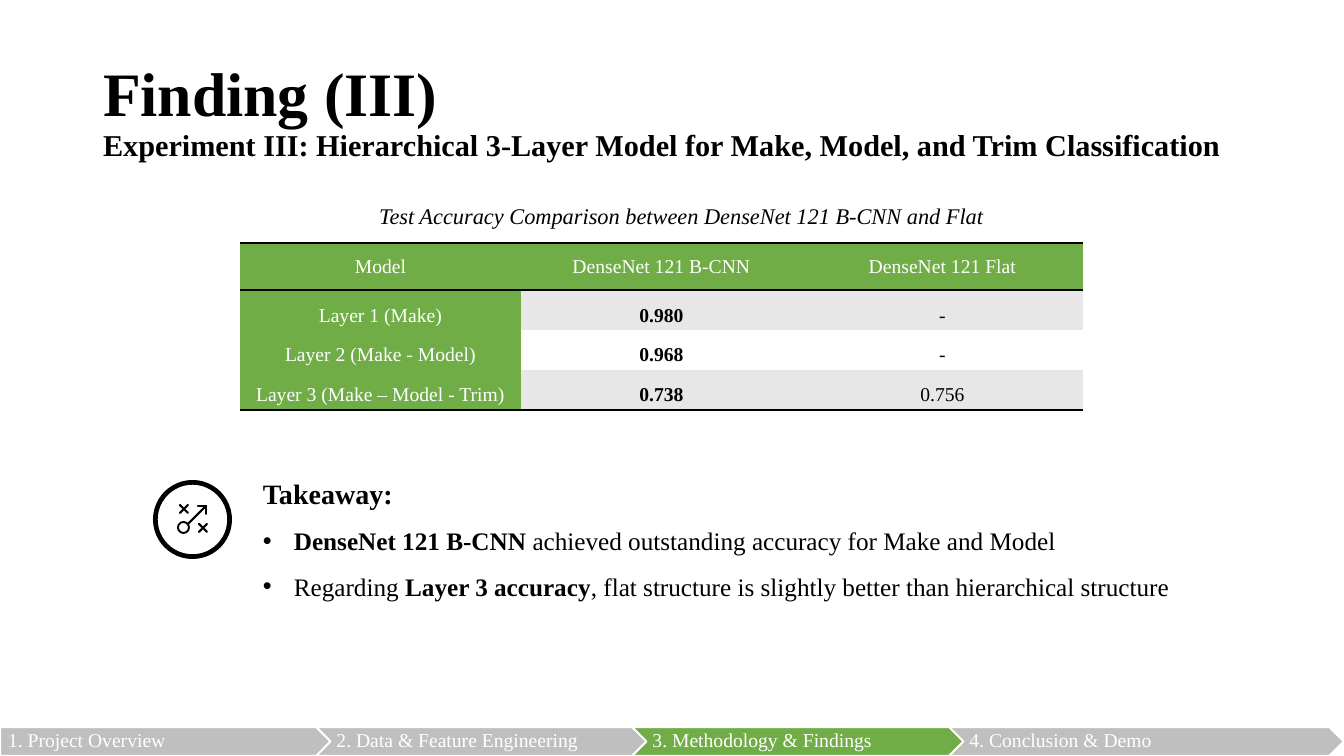
from lxml import etree
from pptx import Presentation
from pptx.dml.color import RGBColor
from pptx.enum.shapes import MSO_CONNECTOR, MSO_SHAPE
from pptx.enum.text import MSO_ANCHOR, MSO_AUTO_SIZE, PP_ALIGN
from pptx.oxml.ns import qn
from pptx.util import Emu, Pt

LEFT, CENTER = PP_ALIGN.LEFT, PP_ALIGN.CENTER
MIDDLE = MSO_ANCHOR.MIDDLE
NO_FIT = MSO_AUTO_SIZE.NONE
PLATE, CHEVRON, DONUT = MSO_SHAPE.PENTAGON, MSO_SHAPE.CHEVRON, MSO_SHAPE.DONUT
STRAIGHT = MSO_CONNECTOR.STRAIGHT

WIDTH, HEIGHT = 1344, 756
BLACK, WHITE, GREEN = "000000", "FFFFFF", "70AD47"
GRAY, BAND = "BFBFBF", "E7E7E7"


def px(count):
    return Emu(round(count * 914400 / 100.8))


def color(code):
    return RGBColor.from_string(code)


class Deck:
    font = "Times New Roman"

    def __init__(self):
        self.file = Presentation()
        self.file.slide_width, self.file.slide_height = px(WIDTH), px(HEIGHT)
        self.slide = self.file.slides.add_slide(self.file.slide_layouts[5])
        self.shapes = self.slide.shapes

    def style(self, run, size, tint=BLACK, bold=False, italic=False):
        font = run.font
        font.name, font.size = self.font, Pt(size)
        font.bold, font.italic = bold, italic
        font.color.rgb = color(tint)

    def inset(self, item, left, top, right, bottom):
        item.margin_left, item.margin_right = px(left), px(right)
        item.margin_top, item.margin_bottom = px(top), px(bottom)

    def title(self, box, lines, sizes):
        shape = self.shapes.title
        shape.left, shape.top, shape.width, shape.height = map(px, box)
        frame = shape.text_frame
        frame.text = "\v".join(lines)
        frame.auto_size, frame.vertical_anchor = NO_FIT, MIDDLE
        para = frame.paragraphs[0]
        para.alignment, para.line_spacing = LEFT, 0.9
        for run, size in zip(para.runs, sizes):
            self.style(run, size, bold=True)

    def box(self, box):
        frame = self.shapes.add_textbox(*map(px, box)).text_frame
        frame.word_wrap = True
        return frame

    def label(self, box, text, size):
        frame = self.box(box)
        frame.text = text
        para = frame.paragraphs[0]
        para.alignment = CENTER
        self.style(para.runs[0], size, italic=True)

    def notes(self, box, head, points):
        frame = self.box(box)
        frame.text = head
        self.style(frame.paragraphs[0].runs[0], 20, bold=True)
        for point in points:
            para = frame.add_paragraph()
            para.line_spacing = 1.5
            props = para._p.get_or_add_pPr()
            props.set("marL", str(px(31)))
            props.set("indent", str(px(-31)))
            etree.SubElement(props, qn("a:buFont")).set("typeface", "Arial")
            etree.SubElement(props, qn("a:buChar")).set("char", "•")
            for text, bold in point:
                run = para.add_run()
                run.text = text
                self.style(run, 18, bold=bold)

    def shape(self, kind, box, fill, adjust, line=None):
        shape = self.shapes.add_shape(kind, *map(px, box))
        shape.shadow.inherit = False
        shape.adjustments[0] = adjust
        shape.fill.solid()
        shape.fill.fore_color.rgb = color(fill)
        if line:
            shape.line.color.rgb, shape.line.width = color(line), Pt(1.5)
        else:
            shape.line.fill.background()
        return shape

    def step(self, kind, box, fill, text):
        shape = self.shape(kind, box, fill, 0.5, WHITE)
        frame = shape.text_frame
        frame.text = text
        frame.word_wrap, frame.vertical_anchor = True, MIDDLE
        self.inset(frame, 8 if kind == PLATE else 6, 4, 2, 4)
        para = frame.paragraphs[0]
        para.alignment, para.line_spacing = LEFT, 0.9
        self.style(para.runs[0], 14, WHITE)

    def stroke(self, *ends):
        line = self.shapes.add_connector(STRAIGHT, *map(px, ends))
        line.line.color.rgb, line.line.width = color(BLACK), Pt(1.5)
        line.line._get_or_add_ln().set("cap", "rnd")
        etree.SubElement(line._element.spPr, qn("a:effectLst"))

    def border(self, cell, sides):
        props = cell._tc.get_or_add_tcPr()
        for side in "LRTB":
            line = etree.SubElement(props, qn("a:ln" + side))
            if side in sides:
                line.set("w", str(Pt(2)))
                fill = etree.SubElement(line, qn("a:solidFill"))
                etree.SubElement(fill, qn("a:srgbClr")).set("val", BLACK)
            else:
                etree.SubElement(line, qn("a:noFill"))

    def table(self, left, top, rows, widths, heights):
        box = map(px, (left, top, sum(widths), sum(heights)))
        table = self.shapes.add_table(len(rows), len(widths), *box).table
        table.first_row = table.horz_banding = False
        for col, width in zip(table.columns, widths):
            col.width = px(width)
        for row, height in zip(table.rows, heights):
            row.height = px(height)
        last = len(rows) - 1
        for r, row in enumerate(rows):
            for c, text in enumerate(row):
                head = r == 0 or c == 0
                cell = table.cell(r, c)
                cell.text = text
                cell.vertical_anchor = MIDDLE
                self.inset(cell, 7, 0, 7, 0)
                sides = ("T" if r < 2 else "") + ("B" if r in (0, last) else "")
                self.border(cell, sides)
                cell.fill.solid()
                back = GREEN if head else BAND if r % 2 else WHITE
                cell.fill.fore_color.rgb = color(back)
                para = cell.text_frame.paragraphs[0]
                para.alignment = CENTER
                para.line_spacing = 1.5 if r else 1.0
                self.style(para.runs[0], 14, WHITE if head else BLACK,
                           bold=r > 0 and c == 1)


def main():
    deck = Deck()

    # Title
    deck.title((93, 40, 1159, 146),
               ("Finding (III) ",
                "Experiment III: Hierarchical 3-Layer Model for Make, Model, "
                "and Trim Classification"),
               (44.1, 21.6))

    # Progress bar
    steps = ("1. Project Overview", "2. Data & Feature Engineering",
             "3. Methodology & Findings", "4. Conclusion & Demo")
    wide = 395
    for n, text in enumerate(steps):
        left = n * (WIDTH - wide) // (len(steps) - 1)
        deck.step(CHEVRON if n else PLATE, (left, 727, wide, 29),
                  GREEN if n == 2 else GRAY, text)

    # Accuracy table
    deck.label((325, 197, 713, 37),
               "Test Accuracy Comparison between DenseNet 121 B-CNN and Flat", 16)
    deck.table(240, 243, (
        ("Model", "DenseNet 121 B-CNN", "DenseNet 121 Flat"),
        ("Layer 1 (Make)", "0.980", "-"),
        ("Layer 2 (Make - Model)", "0.968", "-"),
        ("Layer 3 (Make – Model - Trim)", "0.738", "0.756"),
    ), [281] * 3, [47] + [40] * 3)

    # Takeaway
    deck.notes((253, 472, 963, 132), "Takeaway:", (
        (("DenseNet 121 B-CNN ", True),
         ("achieved outstanding accuracy for Make and Model", False)),
        (("Regarding ", False), ("Layer 3 accuracy", True),
         (", flat structure is slightly better than hierarchical structure",
          False)),
    ))

    # Tactics icon: rings, crosses, arrow
    deck.shape(DONUT, (153, 480, 79, 79), BLACK, 0.06)
    deck.shape(DONUT, (177, 521, 13, 13), BLACK, 0.15)
    for x, y in ((180, 505), (199, 524)):
        deck.stroke(x, y, x + 8, y + 8)
        deck.stroke(x, y + 8, x + 8, y)
    for x, y in ((188, 524), (198, 506), (206, 514)):
        deck.stroke(x, y, 206, 506)

    deck.file.save("out.pptx")


if __name__ == "__main__":
    main()
